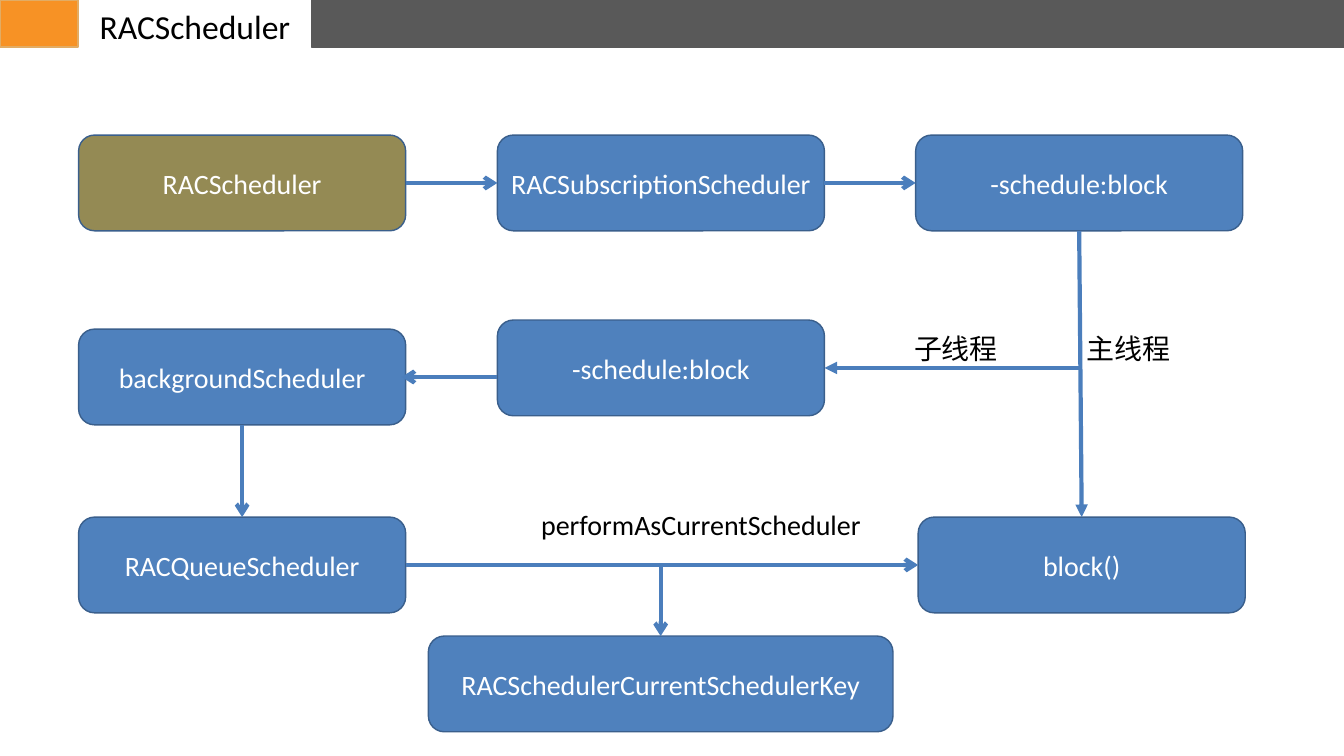
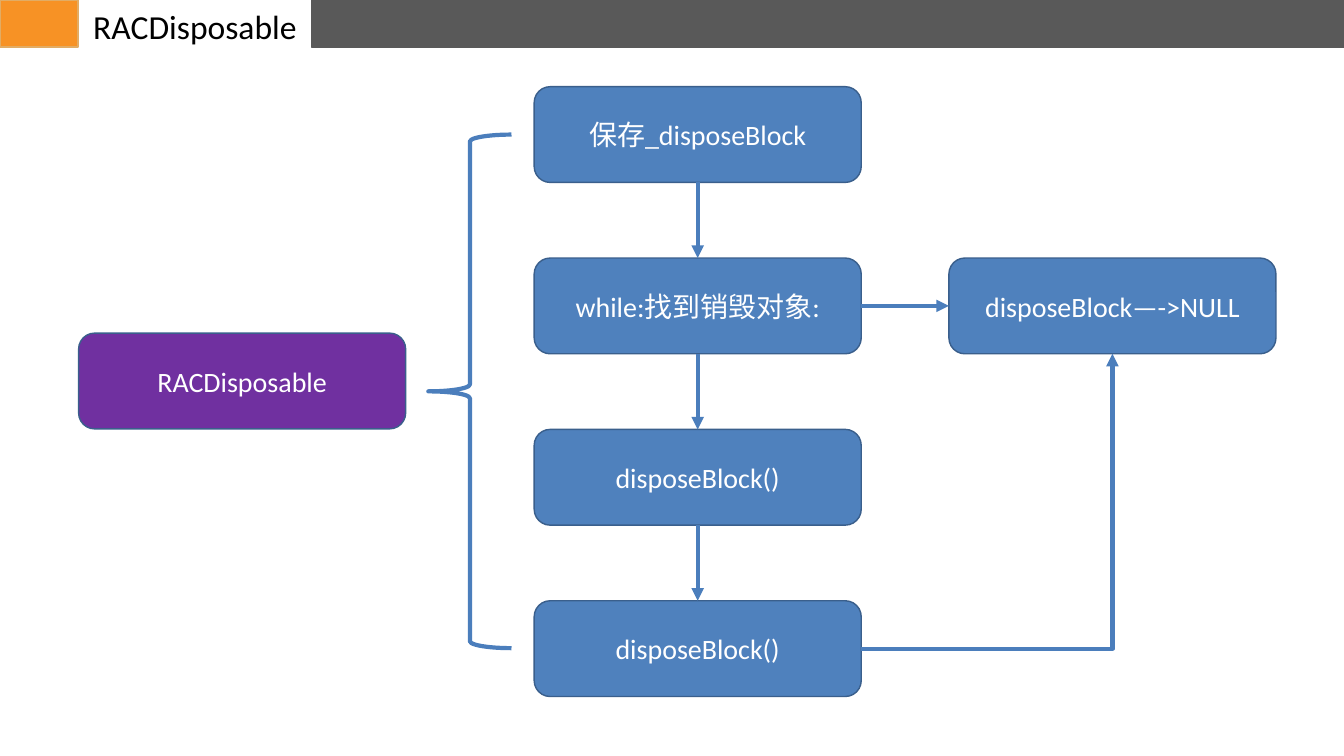
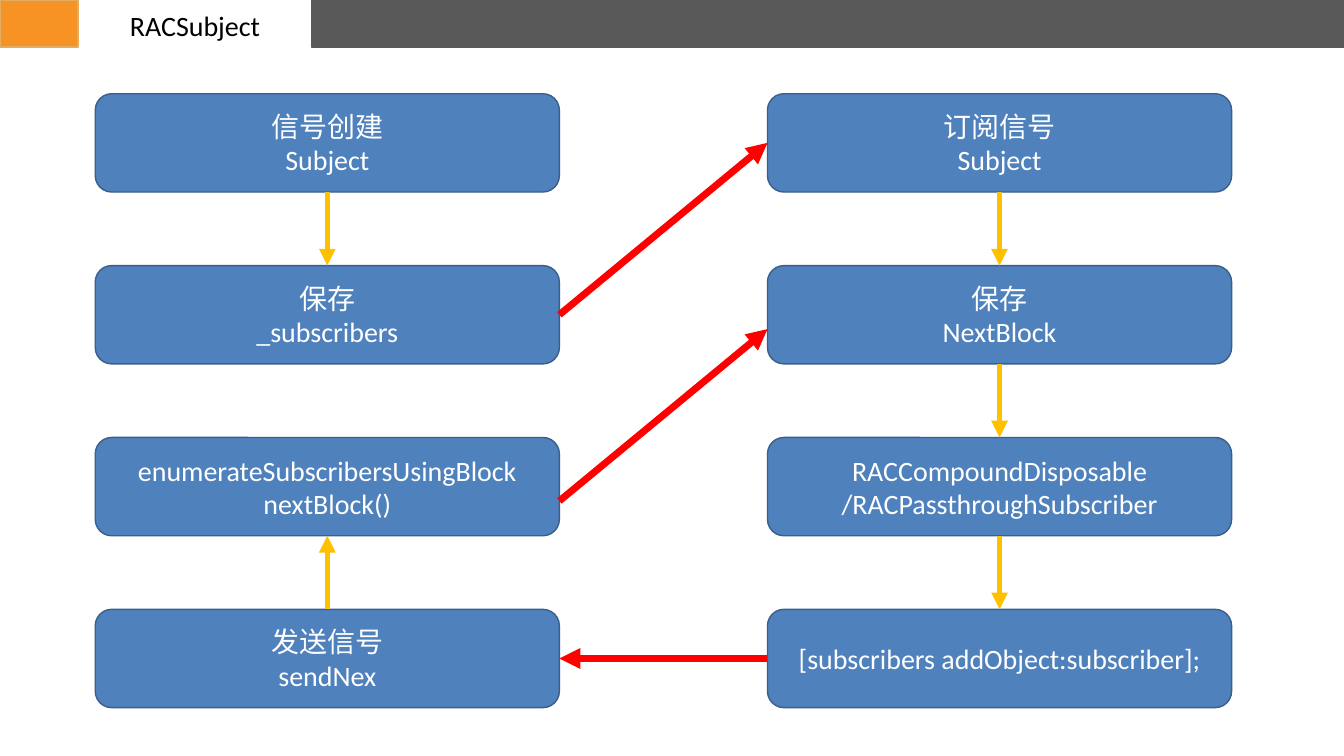
from dataclasses import dataclass

import pptx
import pptx.dml.color
import pptx.enum.shapes
import pptx.enum.text
import pptx.oxml.ns
import pptx.util
from lxml import etree

SHAPE = pptx.enum.shapes.MSO_SHAPE
CONNECTOR = pptx.enum.shapes.MSO_CONNECTOR
ALIGN = pptx.enum.text.PP_ALIGN
qn = pptx.oxml.ns.qn

PX = 9144
PAGE_WIDTH, PAGE_HEIGHT = 2667, 1500
TOP, LEFT, BOTTOM, RIGHT = range(4)


@dataclass(frozen=True)
class Theme:
    font: str = "Calibri"
    title_size: int = 48
    body_size: int = 40
    text: str = "000000"
    box_text: str = "FFFFFF"
    band: str = "595959"
    accent: str = "F79225"
    accent_edge: str = "E2AC64"
    box: str = "4F81BD"
    box_edge: str = "3A5F8C"
    olive: str = "948A54"
    purple: str = "7030A0"


@dataclass(frozen=True)
class ArrowStyle:
    colour: str
    width: int
    head: str


THEME = Theme()
OPEN_BLUE = ArrowStyle("4B7EBC", 6, "arrow")
SOLID_BLUE = ArrowStyle("4B7EBC", 6, "triangle")
YELLOW = ArrowStyle("FFC000", 8, "triangle")
RED = ArrowStyle("FF0000", 10, "triangle")


def px(*lengths):
    return [length * PX for length in lengths]


def rgb(colour):
    return pptx.dml.color.RGBColor.from_string(colour)


def set_line(line, colour, width):
    line.color.rgb = rgb(colour)
    line.width = pptx.util.Pt(width)


def write(frame, lines, size, colour, align):
    frame.word_wrap = True
    frame.vertical_anchor = pptx.enum.text.MSO_ANCHOR.MIDDLE
    for index, line in enumerate(lines):
        para = frame.add_paragraph() if index else frame.paragraphs[0]
        para.text = line
        para.alignment = align
        para.font.name = THEME.font
        para.font.size = pptx.util.Pt(size)
        para.font.color.rgb = rgb(colour)


def add_block(page, kind, place, fill, edge, width=2):
    block = page.shapes.add_shape(kind, *px(*place))
    block.shadow.inherit = False
    if fill:
        block.fill.solid()
        block.fill.fore_color.rgb = rgb(fill)
    else:
        block.fill.background()
    set_line(block.line, edge, width)
    return block


def add_box(page, left, top, *lines, width=649, height=190, fill=THEME.box):
    box = add_block(page, SHAPE.ROUNDED_RECTANGLE, (left, top, width, height),
                    fill, THEME.box_edge)
    write(box.text_frame, lines, THEME.body_size, THEME.box_text, ALIGN.CENTER)
    return box


def add_label(page, left, middle, width, text, size=THEME.body_size, align=ALIGN.LEFT):
    height = round(size * 1.69 + 10)
    label = page.shapes.add_textbox(*px(left, middle - height // 2, width, height))
    write(label.text_frame, [text], size, THEME.text, align)
    label.text_frame.auto_size = pptx.enum.text.MSO_AUTO_SIZE.SHAPE_TO_FIT_TEXT


def add_arrow(page, style, start=(0, 0), end=(0, 0), kind=CONNECTOR.STRAIGHT):
    arrow = page.shapes.add_connector(kind, *px(*start, *end))
    set_line(arrow.line, style.colour, style.width)
    etree.SubElement(arrow.line._get_or_add_ln(), qn("a:tailEnd"), type=style.head)
    etree.SubElement(arrow.element.spPr, qn("a:effectLst"))
    return arrow


def link(page, style, source, source_side, target, target_side, kind=CONNECTOR.STRAIGHT):
    arrow = add_arrow(page, style, kind=kind)
    arrow.begin_connect(source, source_side)
    arrow.end_connect(target, target_side)
    return arrow


def add_page(deck, title, title_size=THEME.title_size):
    page = deck.slides.add_slide(deck.slide_layouts[6])
    add_block(page, SHAPE.RECTANGLE, (618, 0, PAGE_WIDTH - 618, 93), THEME.band, THEME.band)
    add_block(page, SHAPE.RECTANGLE, (0, 0, 155, 93), THEME.accent, THEME.accent_edge)
    add_label(page, 156, 51, 462, title, title_size, ALIGN.CENTER)
    return page


def build_scheduler(deck):
    page = add_page(deck, "RACScheduler")
    scheduler = add_box(page, 156, 268, "RACScheduler", fill=THEME.olive)
    subscription = add_box(page, 987, 268, "RACSubscriptionScheduler")
    schedule = add_box(page, 1817, 268, "-schedule:block")
    child_schedule = add_box(page, 987, 635, "-schedule:block")
    background = add_box(page, 156, 653, "backgroundScheduler")
    queue = add_box(page, 156, 1026, "RACQueueScheduler")
    block = add_box(page, 1822, 1026, "block()")
    current_key = add_box(page, 850, 1262, "RACSchedulerCurrentSchedulerKey", width=922)

    link(page, OPEN_BLUE, scheduler, RIGHT, subscription, LEFT)
    link(page, OPEN_BLUE, subscription, RIGHT, schedule, LEFT)
    link(page, SOLID_BLUE, schedule, BOTTOM, block, TOP)
    link(page, OPEN_BLUE, background, BOTTOM, queue, TOP)
    link(page, OPEN_BLUE, queue, RIGHT, block, LEFT)
    add_arrow(page, OPEN_BLUE, (987, 748), (797, 748))
    child_branch = add_arrow(page, SOLID_BLUE, (2146, 730), (1636, 730))
    child_branch.end_connect(child_schedule, RIGHT)
    key_branch = add_arrow(page, OPEN_BLUE, (1311, 1125), (1311, 1262))
    key_branch.end_connect(current_key, TOP)

    add_label(page, 2146, 692, 342, "主线程")
    add_label(page, 1726, 692, 342, "子线程", align=ALIGN.CENTER)
    add_label(page, 1064, 1041, 662, "performAsCurrentScheduler")


def build_disposable(deck):
    page = add_page(deck, "RACDisposable")
    add_box(page, 156, 661, "RACDisposable", fill=THEME.purple)
    add_block(page, SHAPE.LEFT_BRACE, (850, 267, 165, 1019), None,
              SOLID_BLUE.colour, SOLID_BLUE.width)
    texts = ["保存_disposeBlock", "while:找到销毁对象:", "disposeBlock()", "disposeBlock()"]
    steps = [add_box(page, 1060, 172 + 340 * row, text) for row, text in enumerate(texts)]
    cleared = add_box(page, 1883, 512, "disposeBlock—->NULL")

    for step, following in zip(steps, steps[1:]):
        link(page, SOLID_BLUE, step, BOTTOM, following, TOP)
    link(page, SOLID_BLUE, steps[1], RIGHT, cleared, LEFT)
    corner = link(page, SOLID_BLUE, steps[-1], RIGHT, cleared, BOTTOM, CONNECTOR.ELBOW)
    corner.element.spPr.find(qn("a:prstGeom")).set("prst", "bentConnector2")


def build_subject(deck):
    page = add_page(deck, "RACSubject", THEME.body_size)

    def add_column(left, texts):
        return [add_box(page, left, 186 + 341 * row, *lines, width=921, height=195)
                for row, lines in enumerate(texts)]

    create, save, enumerate_block, send = add_column(189, [
        ("信号创建", "Subject"),
        ("保存", "_subscribers"),
        ("enumerateSubscribersUsingBlock", "nextBlock()"),
        ("发送信号", "sendNex"),
    ])
    receivers = add_column(1523, [
        ("订阅信号", "Subject"),
        ("保存", "NextBlock"),
        ("RACCompoundDisposable", "/RACPassthroughSubscriber"),
        ("[subscribers addObject:subscriber];",),
    ])

    link(page, YELLOW, create, BOTTOM, save, TOP)
    link(page, YELLOW, send, TOP, enumerate_block, BOTTOM)
    for receiver, following in zip(receivers, receivers[1:]):
        link(page, YELLOW, receiver, BOTTOM, following, TOP)
    link(page, RED, save, RIGHT, receivers[0], LEFT)
    link(page, RED, receivers[-1], LEFT, send, RIGHT)
    add_arrow(page, RED, (1110, 994), (1523, 653))


def main():
    deck = pptx.Presentation()
    deck.slide_width, deck.slide_height = px(PAGE_WIDTH, PAGE_HEIGHT)
    build_scheduler(deck)
    build_disposable(deck)
    build_subject(deck)
    deck.save("out.pptx")


if __name__ == "__main__":
    main()
